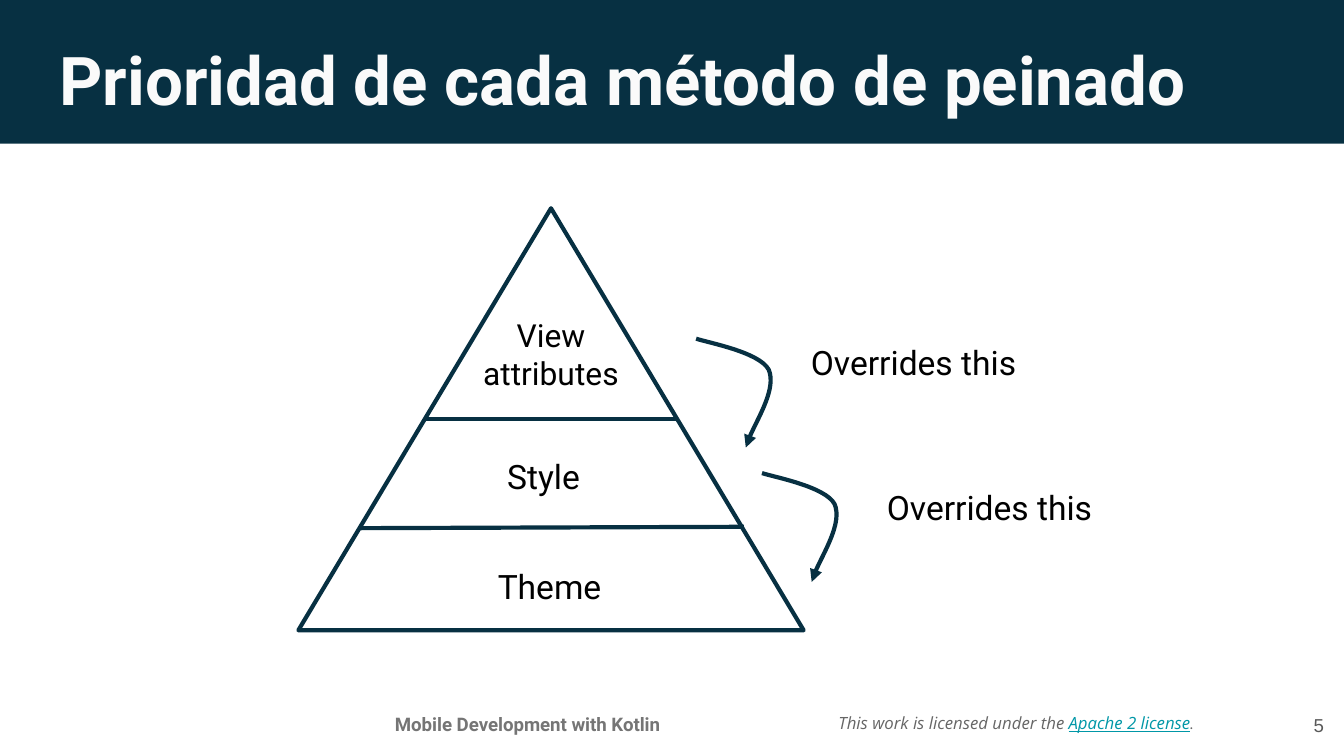
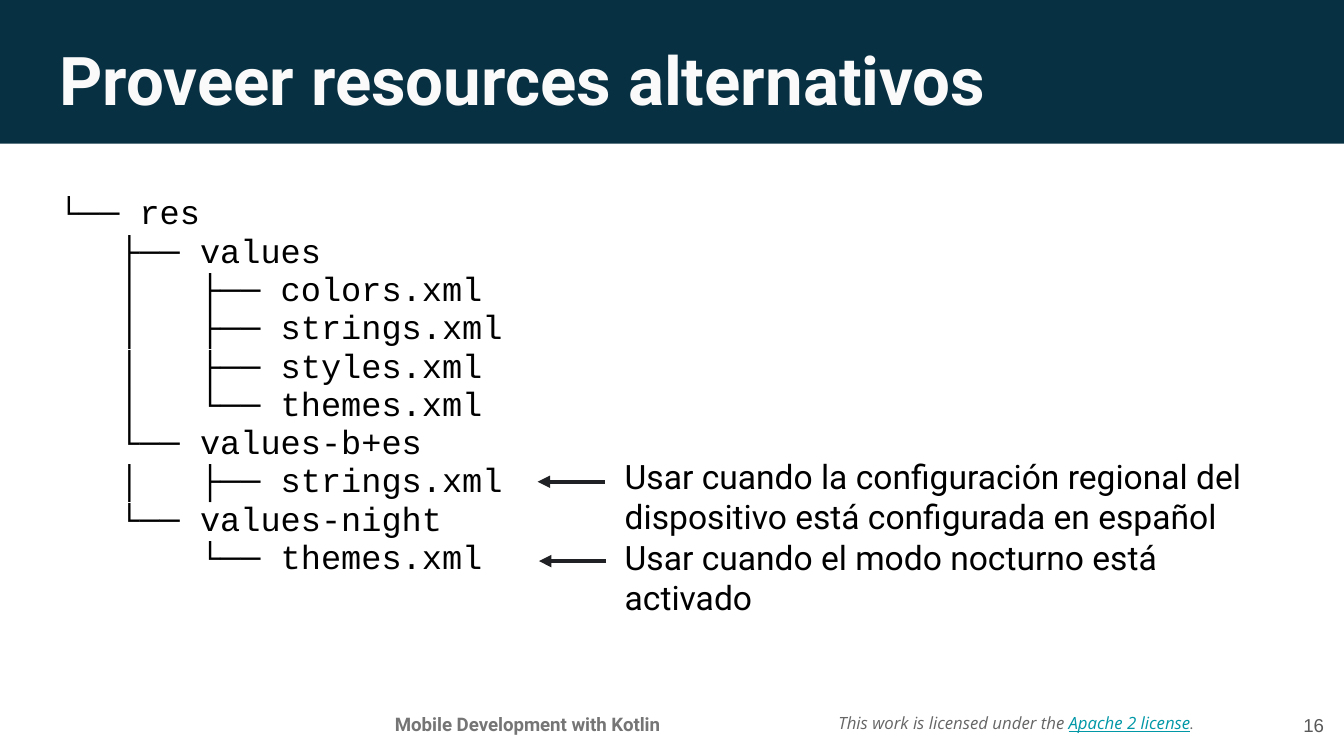
from lxml import etree
from pptx import Presentation
from pptx import util as u
from pptx.dml.color import RGBColor
from pptx.enum import shapes, text
from pptx.oxml.ns import qn

PX = 4572  # EMU per px, 200 px to the inch

NAVY, INK, BLACK, WHITE = "073042", "202124", "000000", "FAFAFA"
GREY, MID_GREY, DARK_GREY, LINK = "757575", "666666", "595959", "0097A7"
LEFT, CENTER, RIGHT = text.PP_ALIGN.LEFT, text.PP_ALIGN.CENTER, text.PP_ALIGN.RIGHT
LINE_WIDTH = 2.25

RESOURCE_TREE = [
    "└── res",
    "   ├── values",
    "   │   ├── colors.xml",
    "   │   ├── strings.xml",
    "   │   ├── styles.xml",
    "   │   └── themes.xml",
    "   └── values-b+es\n   │   ├── strings.xml",
    "   └── values-night",
    "       └── themes.xml",
]


def px(*lengths):
    return [u.Emu(length * PX) for length in lengths]


def color(hex_string):
    return RGBColor.from_string(hex_string)


# Text
def style_run(run, size, font="Roboto", fill=BLACK, bold=False, italic=False, underline=False):
    run.font.size = u.Pt(size)
    run.font.name = font
    run.font.color.rgb = color(fill)
    run.font.bold, run.font.italic, run.font.underline = bold, italic, underline


def add_text(slide, box, paragraphs, size=18, align=LEFT, middle=False, spacing=None, **style):
    text_frame = slide.shapes.add_textbox(*px(*box)).text_frame
    text_frame.word_wrap = True
    text_frame.vertical_anchor = text.MSO_ANCHOR.MIDDLE if middle else text.MSO_ANCHOR.TOP
    for side in ("left", "top", "right", "bottom"):
        setattr(text_frame, f"margin_{side}", px(20)[0])
    for index, content in enumerate(paragraphs):
        paragraph = text_frame.add_paragraph() if index else text_frame.paragraphs[0]
        paragraph.text = content
        paragraph.alignment = align
        if spacing:
            paragraph.line_spacing = spacing
        for run in paragraph.runs:
            style_run(run, size, **style)
    return text_frame


# Lines and outlines
def style_line(shape, fill, arrow=False):
    shape.line.color.rgb = color(fill)
    shape.line.width = u.Pt(LINE_WIDTH)
    if arrow:
        etree.SubElement(shape.line._get_or_add_ln(), qn("a:tailEnd"), type="triangle")


def add_line(slide, start, end, fill=NAVY, arrow=False):
    line = slide.shapes.add_connector(shapes.MSO_CONNECTOR.STRAIGHT, *px(*start, *end))
    style_line(line, fill, arrow)
    etree.SubElement(line._element.spPr, qn("a:effectLst"))


def add_curved_arrow(slide, left, top):
    """Draw two cubic curves ending in an arrowhead."""
    offsets = [(18, 6), (94, 20), (108, 46), (120, 74), (78, 142), (74, 162)]
    builder = slide.shapes.build_freeform(left, top, scale=PX)
    builder.add_line_segments([(left + x, top + y) for x, y in offsets], close=False)
    arrow = builder.convert_to_shape()
    arrow.shadow.inherit = False
    arrow.fill.background()
    style_line(arrow, NAVY, arrow=True)

    # Group each three straight segments into one curve
    segments = list(arrow._element.iter(qn("a:lnTo")))
    outline = segments[0].getparent()
    for first in range(0, len(segments), 3):
        curve = etree.SubElement(outline, qn("a:cubicBezTo"))
        for segment in segments[first:first + 3]:
            curve.append(segment[0])
            outline.remove(segment)


# Shared frame: footer, title band, title, page number
def add_framed_slide(presentation, title, number):
    slide = presentation.slides.add_slide(presentation.slide_layouts[6])
    slide.background.fill.solid()
    slide.background.fill.fore_color.rgb = color("FFFFFF")

    add_text(slide, (502, 1044, 566, 64), ["Mobile Development with Kotlin"], 10, CENTER,
             fill=GREY, bold=True)
    license_frame = add_text(slide, (1228, 1029, 588, 94), ["This work is licensed under the "],
                             9, middle=True, font="Open Sans", fill=MID_GREY, italic=True)
    for content, style in (
        ("Apache 2 license", dict(font="Open Sans", fill=LINK, underline=True)),
        (".", dict(fill=MID_GREY)),
    ):
        run = license_frame.paragraphs[0].add_run()
        run.text = content
        style_run(run, 9, italic=True, **style)

    band = slide.shapes.add_shape(shapes.MSO_SHAPE.RECTANGLE, *px(-2, -8, 2002, 222))
    band.shadow.inherit = False
    band.fill.solid()
    band.fill.fore_color.rgb = color(NAVY)
    band.line.fill.background()

    add_text(slide, (69, 37, 1864, 126), [title], 36, fill=WHITE, bold=True)
    add_text(slide, (1870, 1036, 120, 86), [str(number)], 10, RIGHT, middle=True,
             font="Arial", fill=DARK_GREY)
    return slide


def add_priority_slide(presentation):
    slide = add_framed_slide(presentation, "Prioridad de cada método de peinado", 5)

    # Pyramid and its levels
    pyramid = slide.shapes.add_shape(shapes.MSO_SHAPE.ISOSCELES_TRIANGLE, *px(444, 310, 752, 628))
    pyramid.shadow.inherit = False
    pyramid.fill.background()
    style_line(pyramid, NAVY)
    add_line(slide, (632, 624), (1008, 624))
    add_line(slide, (537, 786), (1107, 784))
    add_text(slide, (671, 450, 298, 154), ["View", "attributes"], 17, CENTER)
    add_text(slide, (735, 659, 250, 100), ["Style"])
    add_text(slide, (721, 822, 250, 100), ["Theme"])

    # Overrides between levels
    for arrow, label in (((1036, 504), (1187, 489)), ((1134, 704), (1300, 705))):
        add_curved_arrow(slide, *arrow)
        add_text(slide, (*label, 416, 100), ["Overrides this"])


def add_resources_slide(presentation):
    slide = add_framed_slide(presentation, "Proveer resources alternativos", 16)
    add_text(slide, (68, 269, 930, 698), RESOURCE_TREE, spacing=0.95, font="Courier New")

    # Notes pointing at files in the tree
    notes = [
        ("Usar cuando la configuración regional del dispositivo está configurada en español",
         (910, 658, 1002, 96), (900, 717)),
        ("Usar cuando el modo nocturno está activado", (910, 779, 1024, 112), (902, 835)),
    ]
    for content, box, (x, y) in notes:
        add_text(slide, box, [content])
        add_line(slide, (x, y), (x - 100, y), INK, arrow=True)


def main():
    presentation = Presentation()
    presentation.slide_width, presentation.slide_height = px(2000, 1125)
    add_priority_slide(presentation)
    add_resources_slide(presentation)
    presentation.save("out.pptx")


if __name__ == "__main__":
    main()
